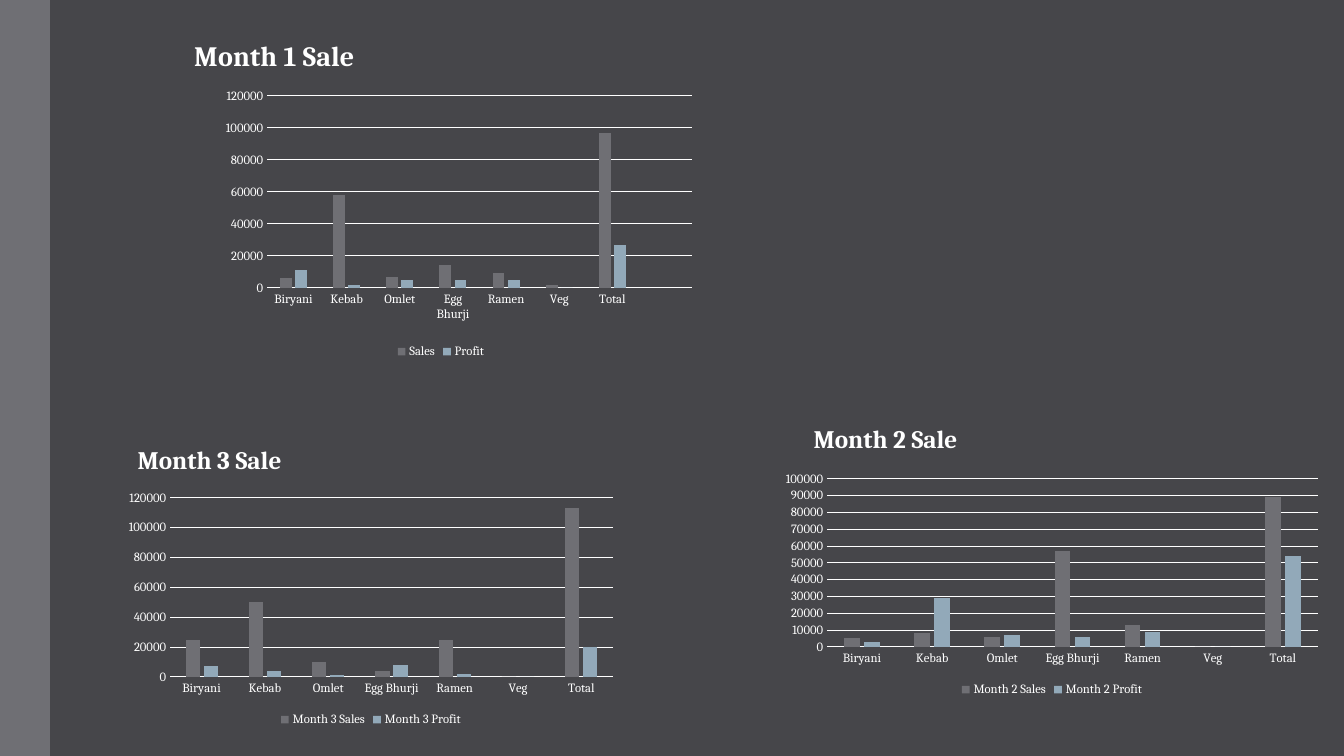
from dataclasses import dataclass

from lxml import etree
from pptx import Presentation
from pptx.chart.data import CategoryChartData
from pptx.dml.color import RGBColor
from pptx.enum.chart import XL_CHART_TYPE, XL_LEGEND_POSITION, XL_TICK_MARK
from pptx.enum.shapes import MSO_SHAPE
from pptx.oxml.ns import qn
from pptx.util import Emu, Pt

COLUMN = XL_CHART_TYPE.COLUMN_CLUSTERED
BOTTOM = XL_LEGEND_POSITION.BOTTOM
NO_TICK = XL_TICK_MARK.NONE
RECT = MSO_SHAPE.RECTANGLE
SCALE = 914400 / 100.8
WIDE, HIGH = 1344, 756
DISHES = ["Biryani", "Kebab", "Omlet", "Egg Bhurji", "Ramen", "Veg", "Total"]


@dataclass(frozen=True)
class Theme:
    """Hold the colours and type sizes of the slide."""
    back: str = "46464A"
    text: str = "FFFFFF"
    sales: str = "6F6F74"
    profit: str = "92A9B9"
    face: str = "Cambria"
    base: int = 10
    small: int = 9
    rule: float = 0.75


THEME = Theme()


@dataclass(frozen=True)
class Month:
    """Describe one chart, with places in px on the slide."""
    title: str
    size: int
    box: tuple
    head: tuple
    plot: tuple
    top: int
    step: int
    dishes: list
    sales: tuple
    profit: tuple
    names: tuple


MONTHS = [
    Month("Month 1 Sale", 20, (189, 33, 504, 330), (188, 30),
          (267, 96, 425, 192), 120000, 20000, DISHES + [""],
          (6000, 58000, 7000, 14000, 9000, 2000, 97000, None),
          (11000, 2000, 5000, 5000, 5000, 0, 27000, None),
          ("Sales", "Profit")),
    Month("Month 2 Sale", 18, (775, 410, 554, 291), (809, 418),
          (827, 479, 491, 168), 100000, 10000, DISHES,
          (5000, 8000, 6000, 57000, 13000, 0, 89000),
          (3000, 29000, 7000, 6000, 9000, 0, 54000),
          ("Month 2 Sales", "Month 2 Profit")),
    Month("Month 3 Sale", 18, (119, 429, 504, 302), (133, 439),
          (170, 498, 443, 179), 120000, 20000, DISHES,
          (25000, 50000, 10000, 4000, 25000, 0, 113000),
          (7000, 4000, 1000, 8000, 2000, 0, 20000),
          ("Month 3 Sales", "Month 3 Profit")),
]


def px(count):
    """Turn px into EMU."""
    return Emu(round(count * SCALE))


def paint(fill, color):
    """Give a fill one solid colour."""
    fill.solid()
    fill.fore_color.rgb = RGBColor.from_string(color)


def style(font, size, bold=False):
    """Set the face, size, weight and colour of a font."""
    font.name = THEME.face
    font.size = Pt(size)
    font.bold = bold
    font.color.rgb = RGBColor.from_string(THEME.text)


def rule(line):
    """Draw a thin line in the text colour."""
    line.width = Pt(THEME.rule)
    line.color.rgb = RGBColor.from_string(THEME.text)


def place(part, index, box, spot, inner=False):
    """Pin a chart part at a px spot inside the chart box."""
    for old in part.findall(qn("c:layout")):
        part.remove(old)
    layout = etree.SubElement(part, qn("c:layout"))
    part.insert(index, layout)
    manual = etree.SubElement(layout, qn("c:manualLayout"))
    left, top, wide, high = box
    shares = [(spot[0] - left) / wide, (spot[1] - top) / high]
    items = [("xMode", "edge"), ("yMode", "edge")]
    if inner:
        items.insert(0, ("layoutTarget", "inner"))
        shares += [spot[2] / wide, spot[3] / high]
    items += [(key, f"{share:.4f}") for key, share in zip("xywh", shares)]
    for key, value in items:
        etree.SubElement(manual, qn(f"c:{key}")).set("val", value)


def add_bar(slide):
    """Add the side band."""
    bar = slide.shapes.add_shape(RECT, 0, 0, px(50), px(HIGH))
    bar.shadow.inherit = False
    paint(bar.fill, THEME.sales)
    bar.line.fill.background()


def set_axes(chart, month):
    """Format both axes and the grid."""
    for axis in (chart.category_axis, chart.value_axis):
        axis.major_tick_mark = axis.minor_tick_mark = NO_TICK
        style(axis.tick_labels.font, THEME.small)
    rule(chart.category_axis.format.line)
    axis = chart.value_axis
    axis.minimum_scale, axis.maximum_scale = 0, month.top
    axis.major_unit = month.step
    axis.format.line.fill.background()
    axis.has_major_gridlines = True
    rule(axis.major_gridlines.format.line)


def set_title(chart, month):
    """Write and pin the chart title."""
    chart.has_title = True
    title = chart.chart_title
    title.text_frame.text = month.title
    style(title.text_frame.paragraphs[0].runs[0].font, month.size, True)
    title.include_in_layout = False
    place(title._element, 1, month.box, month.head)


def add_month(slide, month):
    """Add the column chart of one month."""
    data = CategoryChartData()
    data.categories = month.dishes
    for name, values in zip(month.names, (month.sales, month.profit)):
        data.add_series(name, values)
    box = [px(side) for side in month.box]
    chart = slide.shapes.add_chart(COLUMN, *box, data).chart
    style(chart.font, THEME.base)
    set_title(chart, month)
    set_axes(chart, month)
    chart.has_legend = True
    chart.legend.position = BOTTOM
    chart.legend.include_in_layout = False
    style(chart.legend.font, THEME.small)
    plot = chart.plots[0]
    plot.gap_width, plot.overlap = 219, -27
    plot.vary_by_categories = False
    for series, color in zip(plot.series, (THEME.sales, THEME.profit)):
        paint(series.format.fill, color)
        series.invert_if_negative = False
    area = chart._chartSpace.find(f".//{qn('c:plotArea')}")
    place(area, 0, month.box, month.plot, True)


def main():
    """Build and save the slide."""
    deck = Presentation()
    deck.slide_width, deck.slide_height = px(WIDE), px(HIGH)
    slide = deck.slides.add_slide(deck.slide_layouts[6])
    paint(slide.background.fill, THEME.back)
    add_bar(slide)
    for month in MONTHS:
        add_month(slide, month)
    deck.save("out.pptx")


if __name__ == "__main__":
    main()
